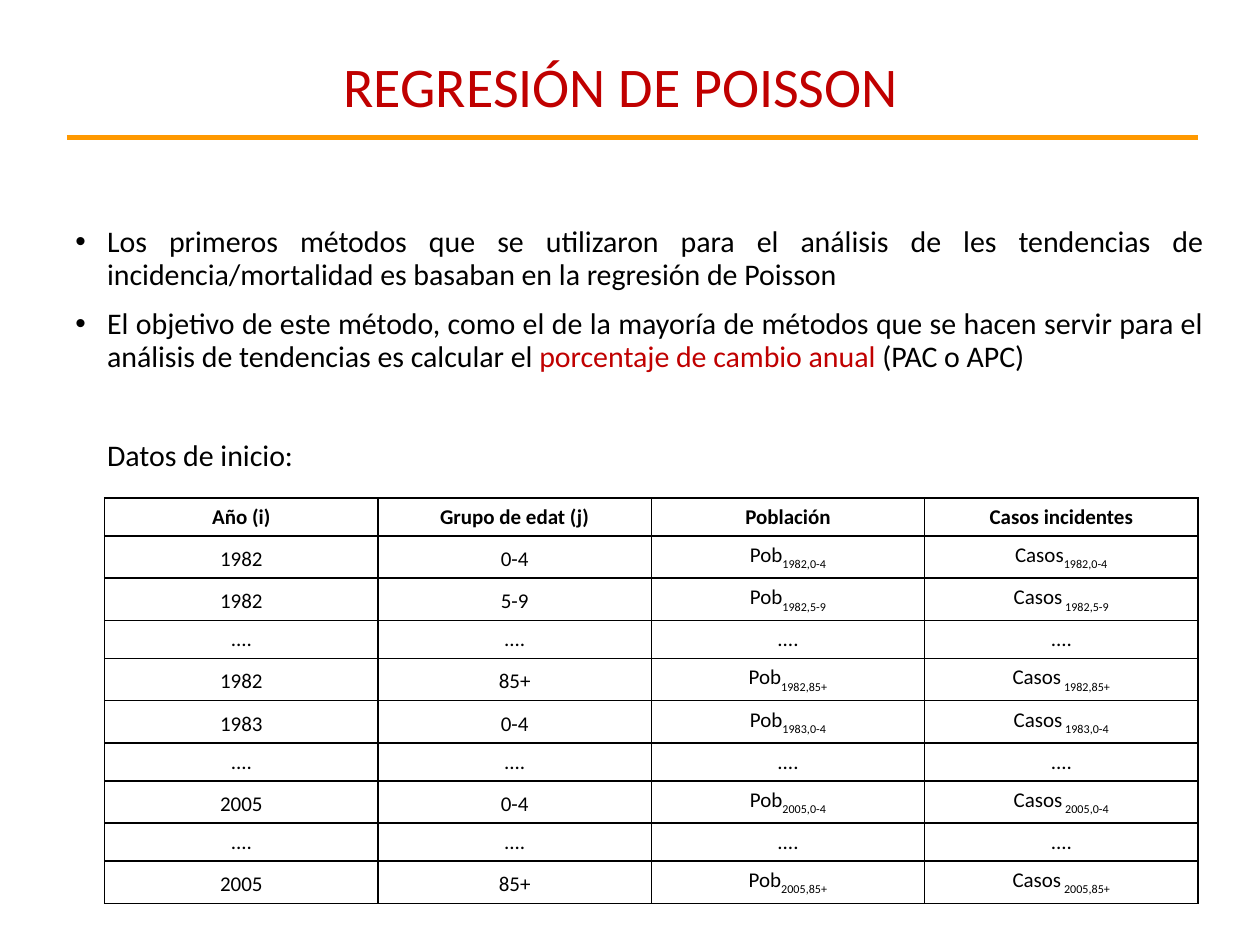
from lxml.etree import SubElement
from pptx import Presentation
from pptx.dml.color import RGBColor
from pptx.enum.shapes import MSO_CONNECTOR
from pptx.enum.text import MSO_ANCHOR, PP_ALIGN
from pptx.oxml.ns import qn
from pptx.util import Cm, Pt

BLACK, RED, ORANGE = "000000", "C00000", "FF9900"


def set_font(font, size, color, bold=False):
    """Apply the slide's typeface with a size, colour and weight."""
    font.name, font.size, font.bold = "Calibri", Pt(size), bold
    font.color.rgb = RGBColor.from_string(color)


def add_borders(cell, color):
    """Draw a one-point line on every side of a table cell."""
    properties = cell._tc.get_or_add_tcPr()
    for position, side in enumerate(("a:lnL", "a:lnR", "a:lnT", "a:lnB")):
        line = properties.makeelement(qn(side), {"w": str(Pt(1))})
        fill = SubElement(line, qn("a:solidFill"))
        SubElement(fill, qn("a:srgbClr"), val=color)
        properties.insert(position, line)


presentation = Presentation()
presentation.slide_width, presentation.slide_height = Cm(25.4), Cm(19.05)
slide = presentation.slides.add_slide(presentation.slide_layouts[5])

# Title and rule
title = slide.shapes.title
title.left, title.top, title.width, title.height = Cm(1.09), Cm(0.71), Cm(22.86), Cm(2)
title.text_frame.text = "REGRESIÓN DE POISSON"
title.text_frame.vertical_anchor = MSO_ANCHOR.MIDDLE
heading = title.text_frame.paragraphs[0]
heading.alignment = PP_ALIGN.CENTER
set_font(heading.font, 32, RED)

rule = slide.shapes.add_connector(MSO_CONNECTOR.STRAIGHT, Cm(1.35), Cm(2.77), Cm(24.16), Cm(2.77))
rule.line.color.rgb = RGBColor.from_string(ORANGE)
rule.line.width = Pt(3)
SubElement(rule._element.spPr, qn("a:effectLst"))

# Introduction: (runs with colours, bulleted, space before)
introduction = [
    ([("Los primeros métodos que se utilizaron para el análisis de les tendencias de "
       "incidencia/mortalidad es basaban en la regresión de Poisson", BLACK)], True, 10),
    ([("El objetivo de este método, como el de la mayoría de métodos que se hacen servir "
       "para el análisis de tendencias es calcular el ", BLACK),
      ("porcentaje de cambio anual ", RED), ("(PAC o APC)", BLACK)], True, 10),
    ([("Datos de inicio:", BLACK)], False, 38.5),
]
body = slide.shapes.add_textbox(Cm(1.27), Cm(4.45), Cm(23.24), Cm(5.38)).text_frame
body.word_wrap = True
for index, (runs, bulleted, space_before) in enumerate(introduction):
    paragraph = body.add_paragraph() if index else body.paragraphs[0]
    paragraph.line_spacing = 0.9
    paragraph.space_before = Pt(space_before)
    paragraph.alignment = PP_ALIGN.JUSTIFY if bulleted else PP_ALIGN.LEFT
    indents = paragraph._p.get_or_add_pPr()
    indents.set("marL", str(Cm(0.64)))
    if bulleted:
        indents.set("indent", str(Cm(-0.64)))
        SubElement(indents, qn("a:buFont"), typeface="Arial")
        SubElement(indents, qn("a:buChar"), char="•")
    for text, color in runs:
        run = paragraph.add_run()
        run.text = text
        set_font(run.font, 17.1, color)

# Starting data: None stands for a row of dots
headers = ["Año (i)", "Grupo de edat (j)", "Población", "Casos incidentes"]
groups = [("1982", "0-4"), ("1982", "5-9"), None, ("1982", "85+"), ("1983", "0-4"),
          None, ("2005", "0-4"), None, ("2005", "85+")]
rows = [[(header, "") for header in headers]]
for group in groups:
    if group is None:
        rows.append([("....", "")] * 4)
        continue
    year, age = group
    key = f"{year},{age}"
    gap = "" if len(rows) == 1 else " "
    rows.append([(year, ""), (age, ""), ("Pob", key), ("Casos", gap + key)])

data = slide.shapes.add_table(len(rows), 4, Cm(2.11), Cm(10.04), Cm(22.04), Cm(6.05)).table
data.first_row = data.horz_banding = False
for row_index, row in enumerate(rows):
    is_header, is_dots = row_index == 0, row[0][0] == "...."
    data.rows[row_index].height = Cm(0.64 if is_header else 0.38 if is_dots else 0.71)
    for column, (text, subscript) in enumerate(row):
        cell = data.cell(row_index, column)
        cell.fill.background()
        add_borders(cell, BLACK)
        cell.vertical_anchor = MSO_ANCHOR.TOP if is_header else MSO_ANCHOR.BOTTOM
        entry = cell.text_frame.paragraphs[0]
        entry.alignment = PP_ALIGN.CENTER
        set_font(entry.font, 12, BLACK, bold=is_header)
        entry.add_run().text = text
        if subscript:
            index_run = entry.add_run()
            index_run.text = subscript
            index_run.font._element.set("baseline", "-30000")

presentation.save("out.pptx")
